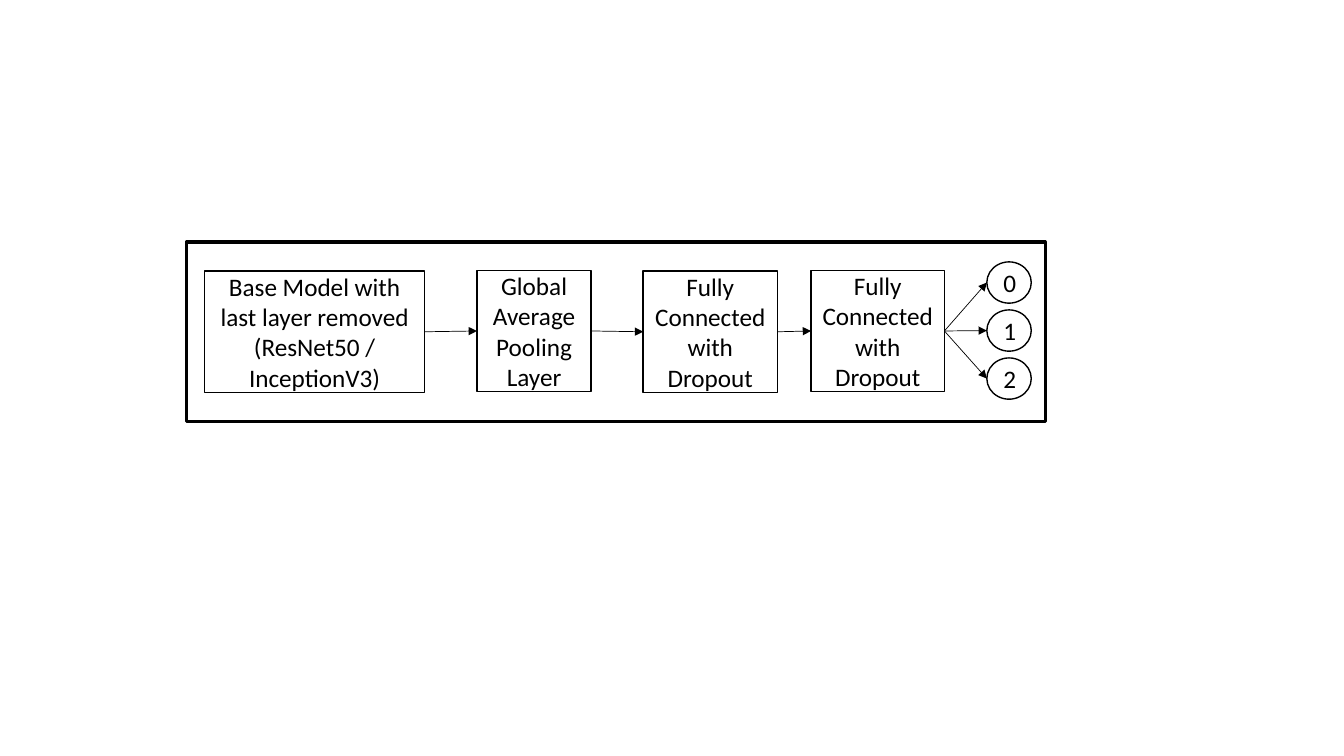
"""Draw the classifier pipeline from base model to three output classes."""
from dataclasses import dataclass

from lxml import etree
from pptx import Presentation
from pptx.dml import color
from pptx.enum import shapes, text
from pptx.oxml import ns
from pptx.util import Cm, Pt

INK = "000000"
FONT = "Calibri"


@dataclass(frozen=True)
class Node:
    """Hold one outlined node, measured in centimetres."""
    label: str
    left: float
    top: float
    width: float
    height: float
    outline: float = 1
    kind: shapes.MSO_SHAPE = shapes.MSO_SHAPE.RECTANGLE

    @property
    def right(self) -> float:
        """Return the right edge."""
        return self.left + self.width

    @property
    def middle(self) -> float:
        """Return the vertical centre."""
        return self.top + self.height / 2


def rgb(value: str) -> color.RGBColor:
    """Turn a hex string into a colour."""
    return color.RGBColor.from_string(value)


def draw_node(slide, node: Node) -> None:
    """Draw an unfilled node with its centred label."""
    shape = slide.shapes.add_shape(
        node.kind, Cm(node.left), Cm(node.top), Cm(node.width), Cm(node.height))
    shape.shadow.inherit = False
    shape.fill.background()
    shape.line.color.rgb = rgb(INK)
    shape.line.width = Pt(node.outline)
    if not node.label:
        return
    frame = shape.text_frame
    frame.word_wrap = True
    frame.vertical_anchor = text.MSO_ANCHOR.MIDDLE
    paragraph = frame.paragraphs[0]
    paragraph.alignment = text.PP_ALIGN.CENTER
    run = paragraph.add_run()
    run.text = node.label
    run.font.name = FONT
    run.font.size = Pt(18)
    run.font.color.rgb = rgb(INK)


def draw_arrow(slide, source: Node, target: Node) -> None:
    """Draw an arrow from the right of one node to the left of the next."""
    arrow = slide.shapes.add_connector(
        shapes.MSO_CONNECTOR.STRAIGHT, Cm(source.right), Cm(source.middle),
        Cm(target.left), Cm(target.middle))
    arrow.line.color.rgb = rgb(INK)
    arrow.line.width = Pt(0.5)
    etree.SubElement(arrow.line._get_or_add_ln(), ns.qn("a:tailEnd"), type="triangle")
    etree.SubElement(arrow._element.spPr, ns.qn("a:effectLst"))


LAYER_HEIGHT = 3.06
CLASS_PITCH = 1.21
LAYERS = [
    Node("Base Model with last layer removed (ResNet50 / InceptionV3)",
         5.16, 6.83, 5.54, LAYER_HEIGHT),
    Node("Global Average Pooling Layer", 12.02, 6.81, 2.88, LAYER_HEIGHT),
    Node("Fully Connected with Dropout", 16.21, 6.83, 3.38, LAYER_HEIGHT),
    Node("Fully Connected with Dropout", 20.44, 6.81, 3.36, LAYER_HEIGHT),
]
CLASSES = [
    Node(str(index), 24.87, 6.6 + index * CLASS_PITCH, 1.12, 1.04,
         kind=shapes.MSO_SHAPE.OVAL)
    for index in range(3)
]
MODEL_FRAME = Node("", 4.7, 6.1, 21.64, 4.52, outline=2.25)

presentation = Presentation()
presentation.slide_width = Cm(33.87)
presentation.slide_height = Cm(19.05)
pipeline = presentation.slides.add_slide(presentation.slide_layouts[6])

for part in [*LAYERS, *CLASSES, MODEL_FRAME]:
    draw_node(pipeline, part)
for before, after in zip(LAYERS, LAYERS[1:]):
    draw_arrow(pipeline, before, after)
for output_class in CLASSES:
    draw_arrow(pipeline, LAYERS[-1], output_class)

presentation.save("out.pptx")
